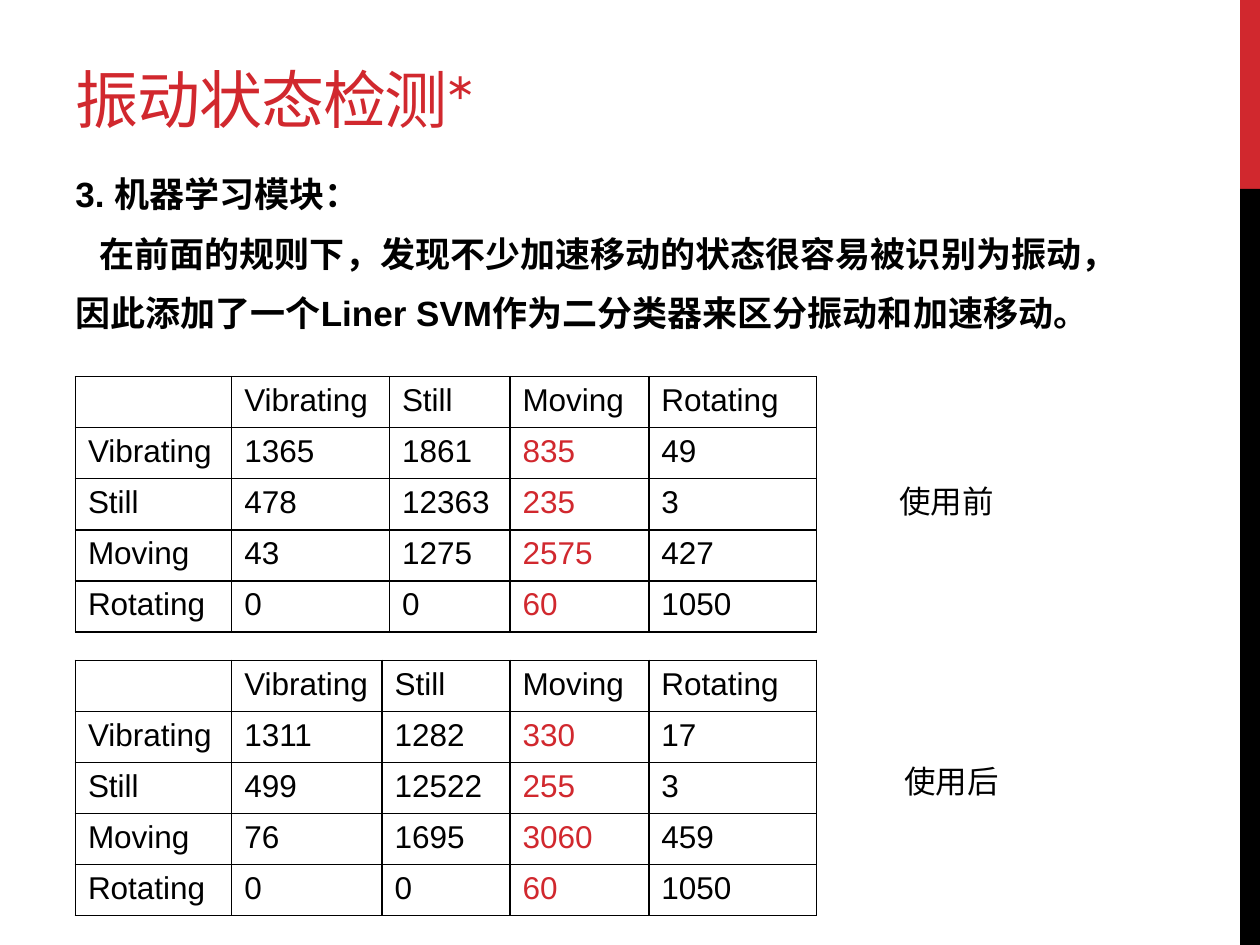
import dataclasses

import pptx
import pptx.dml.color
import pptx.enum.shapes
import pptx.enum.text
import pptx.oxml
import pptx.oxml.ns
import pptx.util

Cm, Pt = pptx.util.Cm, pptx.util.Pt
RGB = pptx.dml.color.RGBColor


@dataclasses.dataclass(frozen=True)
class Theme:
    red: RGB = RGB(0xD1, 0x28, 0x2E)
    black: RGB = RGB(0, 0, 0)
    title_font: str = "Montserrat"
    body_font: str = "Arial"
    title_size: int = 36
    body_size: int = 20
    table_size: int = 18


THEME = Theme()
STATES = ["Vibrating", "Still", "Moving", "Rotating"]
HIGHLIGHT_COL = STATES.index("Moving") + 1
BEFORE = [
    [1365, 1861, 835, 49],
    [478, 12363, 235, 3],
    [43, 1275, 2575, 427],
    [0, 0, 60, 1050],
]
AFTER = [
    [1311, 1282, 330, 17],
    [499, 12522, 255, 3],
    [76, 1695, 3060, 459],
    [0, 0, 60, 1050],
]


def add_run(p, text, size, color=THEME.black, font=THEME.body_font, bold=False):
    r = p.add_run()
    r.text = text
    r.font.name, r.font.size, r.font.bold = font, Pt(size), bold
    r.font.color.rgb = color
    return r


def add_text_frame(s, x, y, w, h, wrap=True):
    tf = s.shapes.add_textbox(Cm(x), Cm(y), Cm(w), Cm(h)).text_frame
    tf.word_wrap = wrap
    return tf


def add_side_bar(s, x, y, w, h):
    """Red upper fifth above a black remainder."""
    red_h = h / 5
    for top, height, color in ((y, red_h, THEME.red),
                               (y + red_h, h - red_h, THEME.black)):
        sp = s.shapes.add_shape(pptx.enum.shapes.MSO_SHAPE.RECTANGLE,
                                Cm(x), Cm(top), Cm(w), Cm(height))
        sp.shadow.inherit = False
        sp.fill.solid()
        sp.fill.fore_color.rgb = color
        sp.line.fill.background()


def add_title(s, x, y, w, h, text):
    tf = add_text_frame(s, x, y, w, h)
    tf.vertical_anchor = pptx.enum.text.MSO_ANCHOR.BOTTOM
    tf.margin_bottom = Cm(1.5)
    r = add_run(tf.paragraphs[0], text, THEME.title_size, THEME.red,
                THEME.title_font)
    r.font._element.set("spc", "-60")


def add_body(s, x, y, w, h, lines):
    """Lines are (left indent in cm, text) pairs."""
    tf = add_text_frame(s, x, y, w, h)
    tf.margin_top, tf.margin_right = Cm(0.2), 0
    for i, (indent, text) in enumerate(lines):
        p = tf.add_paragraph() if i else tf.paragraphs[0]
        p._p.get_or_add_pPr().set("marL", str(Cm(indent)))
        p.line_spacing, p.space_after = Pt(24), Pt(6)
        if i:
            p.space_before = Pt(4)
        add_run(p, text, THEME.body_size, bold=True)


def set_borders(cell):
    tcPr = cell._tc.get_or_add_tcPr()
    for i, side in enumerate(("lnL", "lnR", "lnT", "lnB")):
        tcPr.insert(i, pptx.oxml.parse_xml(
            f'<a:{side} {pptx.oxml.ns.nsdecls("a")} w="{Pt(1)}"><a:solidFill>'
            f'<a:srgbClr val="{THEME.black}"/></a:solidFill></a:{side}>'))


def add_confusion_table(s, x, y, col_widths, row_height, counts):
    rows = [["", *STATES]] + [[n, *c] for n, c in zip(STATES, counts)]
    table = s.shapes.add_table(
        len(rows), len(col_widths), Cm(x), Cm(y),
        Cm(sum(col_widths)), Cm(row_height * len(rows))).table
    table.first_row = table.horz_banding = False
    for col, width in zip(table.columns, col_widths):
        col.width = Cm(width)
    for i, values in enumerate(rows):
        table.rows[i].height = Cm(row_height)
        for j, value in enumerate(values):
            cell = table.cell(i, j)
            cell.fill.background()
            set_borders(cell)
            red = i > 0 and j == HIGHLIGHT_COL
            if value != "":
                add_run(cell.text_frame.paragraphs[0], str(value),
                        THEME.table_size, THEME.red if red else THEME.black)


def add_label(s, x, y, w, h, text):
    tf = add_text_frame(s, x, y, w, h, wrap=False)
    add_run(tf.paragraphs[0], text, THEME.table_size)


def main():
    prs = pptx.Presentation()
    prs.slide_width, prs.slide_height = Cm(25.4), Cm(19.05)
    s = prs.slides.add_slide(prs.slide_layouts[6])

    add_side_bar(s, 25, 0, 0.4, 19.05)
    add_title(s, 1.27, 0.43, 16.08, 3.81, "振动状态检测*")
    add_body(s, 1.27, 3.28, 21.3, 3.91, [
        (0, "3. 机器学习模块："),
        (0.49, "在前面的规则下，发现不少加速移动的状态很容易被识别为振动，"),
        (0, "因此添加了一个Liner SVM作为二分类器来区分振动和加速移动。"),
    ])
    add_confusion_table(s, 1.52, 7.59, [3.15, 3.18, 2.43, 2.8, 3.38], 1.03, BEFORE)
    add_confusion_table(s, 1.52, 13.31, [3.15, 3.03, 2.58, 2.8, 3.38], 1.03, AFTER)
    add_label(s, 17.88, 9.6, 2.44, 1.02, "使用前")
    add_label(s, 17.98, 15.24, 2.44, 1.02, "使用后")

    prs.save("out.pptx")


if __name__ == "__main__":
    main()
